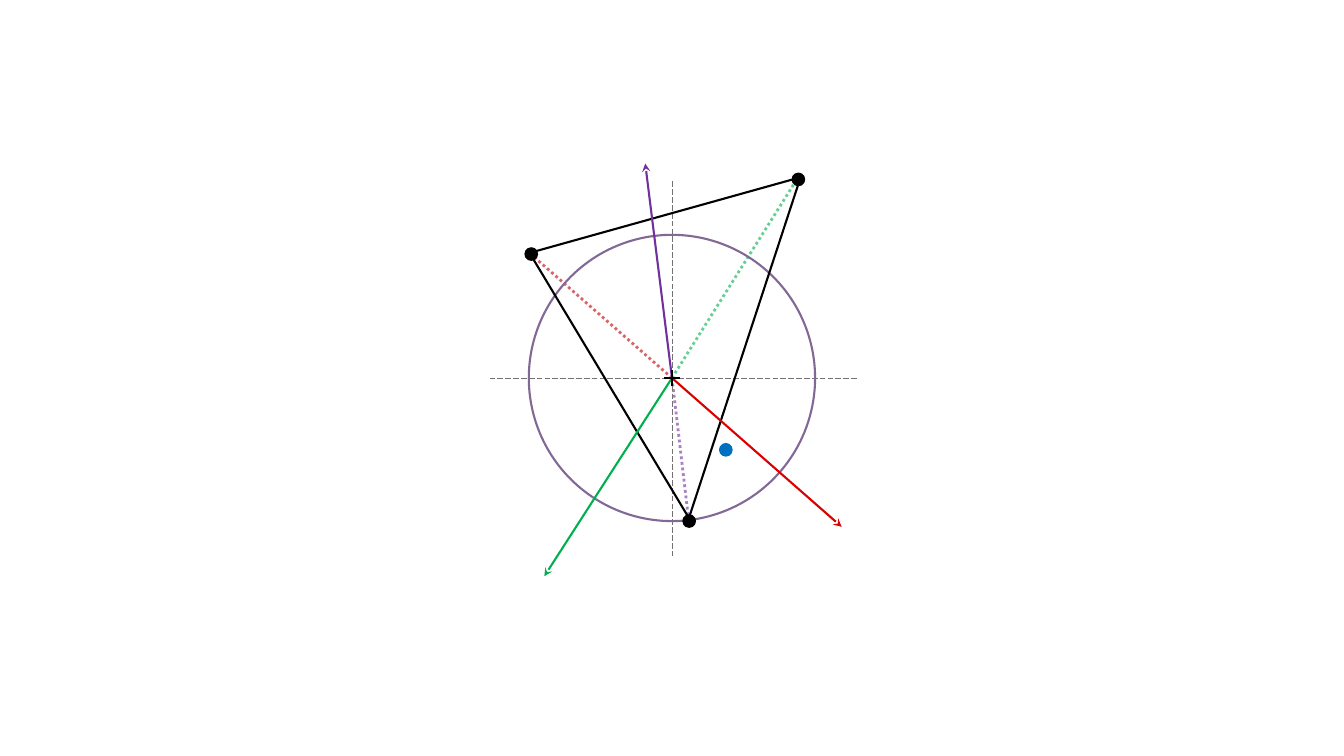
"""Build a slide with a triangle, a circle and three arrows from a common centre."""
from lxml.etree import SubElement
from pptx import Presentation
from pptx.dml.color import RGBColor
from pptx.enum.dml import MSO_LINE
from pptx.enum.shapes import MSO_CONNECTOR, MSO_SHAPE
from pptx.oxml.ns import qn
from pptx.util import Pt

BLACK = RGBColor(0x00, 0x00, 0x00)
GREY = RGBColor(0x76, 0x71, 0x71)
PURPLE = RGBColor(0x70, 0x30, 0xA0)
MAUVE = RGBColor(0x82, 0x69, 0x95)
GREEN = RGBColor(0x00, 0xB0, 0x50)
RED = RGBColor(0xDA, 0x00, 0x00)
DARK_RED = RGBColor(0xC0, 0x00, 0x00)
BLUE = RGBColor(0x00, 0x70, 0xC0)

CENTRE_X, CENTRE_Y = CENTRE = (480, 270)
RING_DIAMETER = 204.5
DOT_DIAMETER = 8.8
CROSS_ARM = 5.6
TRIANGLE_BOX = (403.2, 149.7, 201, 213)
TRIANGLE_TURN = 164.4
TRIANGLE_APEX = 0.708

RAYS = [((492.5, 376.5), PURPLE), ((567.4, 131), GREEN), ((382.3, 184.3), DARK_RED)]
AXES = [((480, 129.6), (480, 397.4)), ((612, 270), (348.5, 270))]
CORNERS = [(570.3, 128.2), (379.5, 181.5), (492.3, 372.2)]
ARROWS = [((460.9, 116.8), PURPLE), ((601.2, 376.3), RED), ((388.8, 411.6), GREEN)]
SAMPLE = (518.5, 321.3)


def add_line(start, end, color, width, dash=None, opacity=None, arrow=False):
    line = drawing.add_connector(MSO_CONNECTOR.STRAIGHT, *map(Pt, start + end))
    line.line.color.rgb = color
    line.line.width = Pt(width)
    if dash:
        line.line.dash_style = dash
    outline = line.line._get_or_add_ln()
    if opacity:
        tint = outline.find(".//" + qn("a:srgbClr"))
        SubElement(tint, qn("a:alpha"), val=str(opacity * 1000))
    if arrow:
        SubElement(outline, qn("a:tailEnd"), type="stealth")
    SubElement(line._element.spPr, qn("a:effectLst"))


def add_figure(kind, box, color, width, filled=False):
    figure = drawing.add_shape(kind, *map(Pt, box))
    figure.shadow.inherit = False
    figure.line.color.rgb = color
    figure.line.width = Pt(width)
    if filled:
        figure.fill.solid()
        figure.fill.fore_color.rgb = color
    else:
        figure.fill.background()
    return figure


def add_circle(centre, diameter, color, width, filled=False):
    left, top = (value - diameter / 2 for value in centre)
    add_figure(MSO_SHAPE.OVAL, (left, top, diameter, diameter), color, width, filled)


deck = Presentation()
deck.slide_width, deck.slide_height = Pt(960), Pt(540)
page = deck.slides.add_slide(deck.slide_layouts[6])
drawing = page.shapes.add_group_shape().shapes

for corner, color in RAYS:
    add_line(CENTRE, corner, color, 2, MSO_LINE.ROUND_DOT, opacity=60)
for start, end in AXES:
    add_line(start, end, GREY, 0.5, MSO_LINE.LONG_DASH)

add_circle(CENTRE, RING_DIAMETER, MAUVE, 1.5)
triangle = add_figure(MSO_SHAPE.ISOSCELES_TRIANGLE, TRIANGLE_BOX, BLACK, 1.5)
triangle.adjustments[0] = TRIANGLE_APEX
triangle.rotation = TRIANGLE_TURN
for corner in CORNERS:
    add_circle(corner, DOT_DIAMETER, BLACK, 1, filled=True)

for tip, color in ARROWS:
    add_line(CENTRE, tip, color, 1.5, arrow=True)
for across, down in ((0, CROSS_ARM), (CROSS_ARM, 0)):
    add_line((CENTRE_X - across, CENTRE_Y - down),
             (CENTRE_X + across, CENTRE_Y + down), BLACK, 1.5)
add_circle(SAMPLE, DOT_DIAMETER, BLUE, 1, filled=True)

deck.save("out.pptx")
